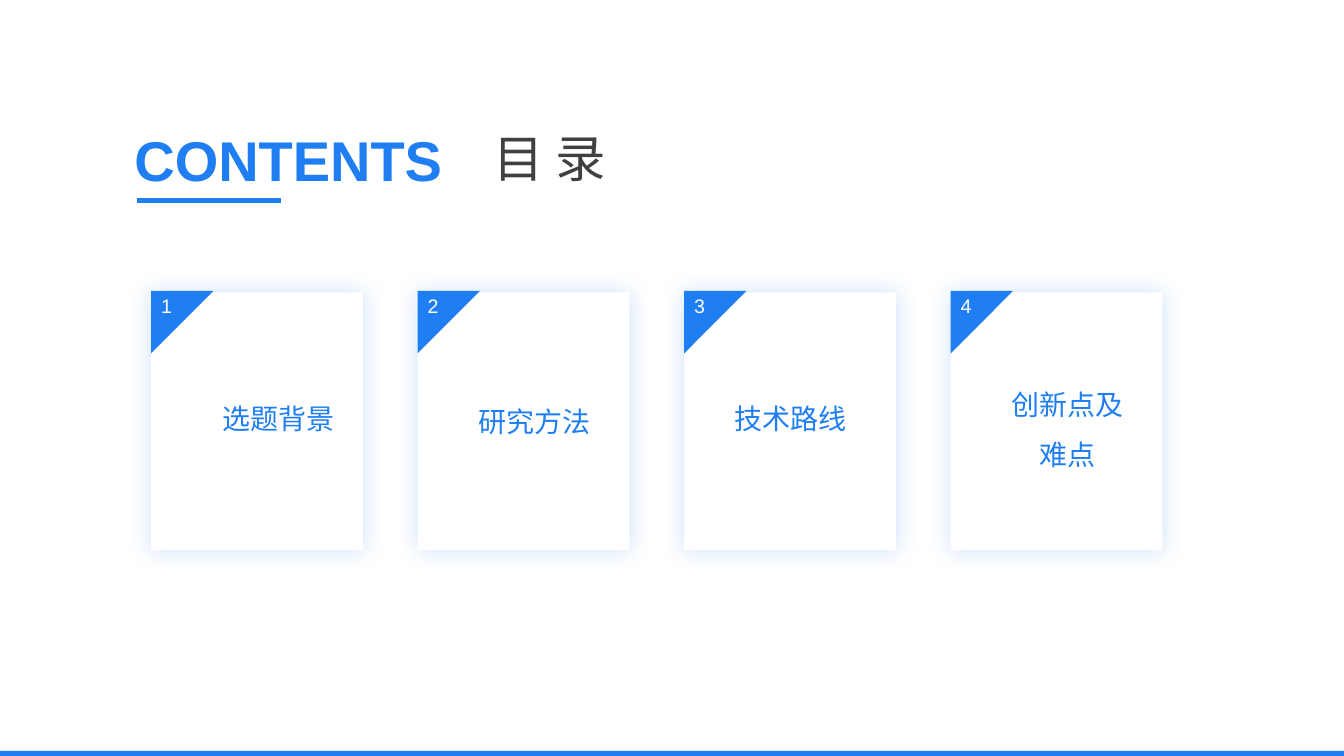
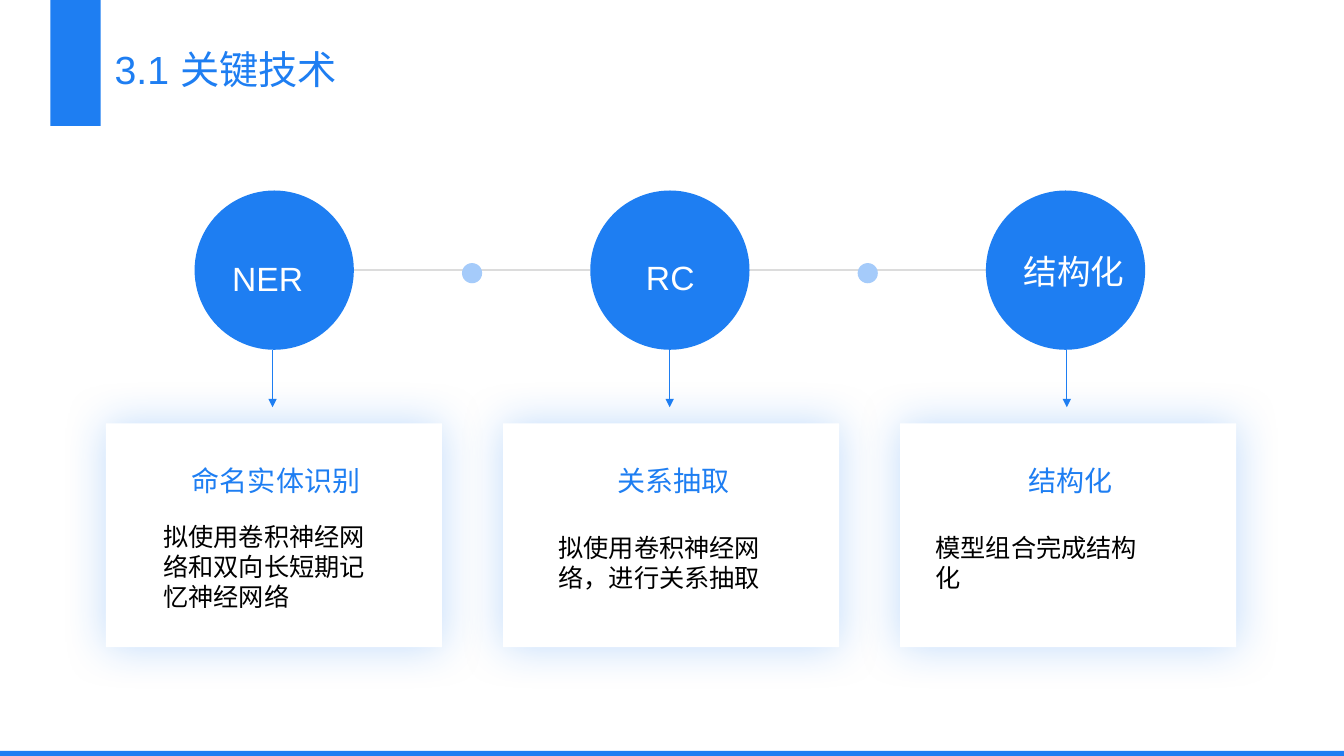
from lxml.etree import SubElement
from pptx import Presentation
from pptx.dml.color import RGBColor
from pptx.enum.shapes import MSO_CONNECTOR, MSO_SHAPE
from pptx.enum.text import MSO_ANCHOR, PP_ALIGN
from pptx.oxml.ns import qn
from pptx.util import Inches, Pt

BLUE = RGBColor(0x1E, 0x7E, 0xF2)
PALE_BLUE = RGBColor(0xA5, 0xCB, 0xFA)
WHITE = RGBColor(0xFF, 0xFF, 0xFF)
GREY = RGBColor(0xDC, 0xDC, 0xDC)
DARK = RGBColor(0x40, 0x40, 0x40)
BLACK = RGBColor(0x00, 0x00, 0x00)
FONT = "Arial"


def write(frame, text, size=20, color=BLUE, bold=False, align=PP_ALIGN.LEFT,
          anchor=MSO_ANCHOR.TOP, spacing=1.0, before=0):
    frame.word_wrap = True
    frame.vertical_anchor = anchor
    paragraph = frame.paragraphs[0]
    paragraph.alignment = align
    paragraph.line_spacing = spacing
    paragraph.space_before = Pt(before)
    run = paragraph.add_run()
    run.text = text
    run.font.name = FONT
    run.font.size = Pt(size)
    run.font.bold = bold
    run.font.color.rgb = color


class Deck:
    """Style and current slide; all lengths are percent of the slide's size."""

    def __init__(self):
        self.show = Presentation()
        self.show.slide_width = Inches(13.33)
        self.show.slide_height = Inches(7.5)
        self.slide = None

    def across(self, share):
        return round(self.show.slide_width * share / 100)

    def down(self, share):
        return round(self.show.slide_height * share / 100)

    def box(self, x, y, w, h):
        return self.across(x), self.down(y), self.across(w), self.down(h)

    def new_slide(self):
        self.slide = self.show.slides.add_slide(self.show.slide_layouts[6])
        self.shape(MSO_SHAPE.RECTANGLE, 0, 99.33, 100, 0.67)  # footer band

    def shape(self, kind, x, y, w, h, fill=BLUE):
        drawn = self.slide.shapes.add_shape(kind, *self.box(x, y, w, h))
        drawn.shadow.inherit = False
        drawn.fill.solid()
        drawn.fill.fore_color.rgb = fill
        drawn.line.fill.background()
        return drawn

    def card(self, x, y, w, h, blur, alpha):
        """White panel with a soft blue glow."""
        panel = self.shape(MSO_SHAPE.RECTANGLE, x, y, w, h, WHITE)
        effects = panel._element.spPr.find(qn("a:effectLst"))
        glow = SubElement(effects, qn("a:outerShdw"), blurRad=str(Pt(blur)),
                          dist="0", dir="0", algn="ctr", rotWithShape="0")
        tint = SubElement(glow, qn("a:srgbClr"), val=str(BLUE))
        SubElement(tint, qn("a:alpha"), val=str(alpha * 1000))

    def text(self, content, x, y, w, h, **style):
        area = self.slide.shapes.add_textbox(*self.box(x, y, w, h))
        write(area.text_frame, content, **style)

    def line(self, x1, y1, x2, y2, color=BLUE, width=0.5, arrow=False):
        rule = self.slide.shapes.add_connector(
            MSO_CONNECTOR.STRAIGHT, self.across(x1), self.down(y1),
            self.across(x2), self.down(y2))
        rule.line.color.rgb = color
        rule.line.width = Pt(width)
        if arrow:
            SubElement(rule.line._get_or_add_ln(), qn("a:tailEnd"), type="triangle")
        SubElement(rule._element.spPr, qn("a:effectLst"))


def contents_slide(deck):
    deck.new_slide()

    # Heading
    heading = dict(align=PP_ALIGN.CENTER, anchor=MSO_ANCHOR.MIDDLE, spacing=1.3)
    deck.text("CONTENTS", 9, 13.73, 24.9, 11.87, size=40, bold=True, **heading)
    deck.text("目 录", 34.73, 13.73, 12.38, 11.87, size=36, color=DARK, **heading)
    deck.line(10.2, 26.53, 20.93, 26.53, width=3)

    # Chapter cards: name, label offset, label top, line spacing
    chapters = [("选题背景", 3.6, 48.33, 0.9), ("研究方法", 2.85, 48.73, 0.9),
                ("技术路线", 2.03, 48.33, 0.9), ("创新点及难点", 2.85, 48.33, 1.5)]
    for index, (chapter, offset, top, spacing) in enumerate(chapters):
        left = 11.25 + index * 19.83
        deck.card(left, 38.67, 15.75, 34.13, blur=16, alpha=22)
        corner = deck.shape(MSO_SHAPE.RIGHT_TRIANGLE, left, 38.47, 4.65, 8.27)
        corner._element.spPr.xfrm.set("flipV", "1")
        deck.text(str(index + 1), left, 37.93, 2.63, 5.73, size=14,
                  color=WHITE, spacing=1.1)
        deck.text(chapter, left + offset, top, 11.7, 14.67,
                  align=PP_ALIGN.CENTER, anchor=MSO_ANCHOR.MIDDLE,
                  spacing=spacing, before=10)


def technology_slide(deck):
    deck.new_slide()

    # Title
    deck.shape(MSO_SHAPE.RECTANGLE, 3.75, 0, 3.75, 16.67)
    deck.text("3.1 关键技术", 7.8, 3.47, 30.15, 11.73, size=28, spacing=1.3)

    # Steps: short name with offset and top, full name, detail with offset and top
    steps = [
        ("NER", 2.06, 31.87, "命名实体识别",
         "拟使用卷积神经网络和双向长短期记忆神经网络", 3.53, 68.27),
        ("RC", 3.41, 31.73, "关系抽取", "拟使用卷积神经网络，进行关系抽取", 3.38, 69.73),
        ("结构化", 2.06, 30.93, "结构化", "模型组合完成结构化", 1.88, 69.73),
    ]
    pitch, diameter, dot = 29.44, 11.85, 1.5
    for index, (short, indent, short_top, name, detail, offset, top) in enumerate(steps):
        # Circle and its link to the next one
        left = 14.48 + index * pitch
        deck.shape(MSO_SHAPE.OVAL, left, 25.2, diameter, 21.07)
        deck.text(short, left + indent, short_top, 10.13, 11.2, size=24,
                  color=WHITE, spacing=1.3)
        if index < len(steps) - 1:
            deck.line(left + diameter, 35.73, left + pitch, 35.73, GREY, 1.5)
            middle = left + (diameter + pitch) / 2
            deck.shape(MSO_SHAPE.OVAL, middle - dot / 2, 34.8, dot, 2.67, PALE_BLUE)

        # Arrow and explanation
        panel = 7.88 + index * 29.55
        stem = panel + 12.4
        deck.line(stem, 46.27, stem, 53.87, arrow=True)
        deck.card(panel, 56, 25, 29.6, blur=32, alpha=28)
        deck.text(name, panel + 1.9, 60.27, 21.53, 6.53,
                  align=PP_ALIGN.CENTER, spacing=1.1)
        deck.text(detail, panel + offset, top, 17.7, 13.47, size=18, color=BLACK)


def main():
    deck = Deck()
    contents_slide(deck)
    technology_slide(deck)
    deck.show.save("out.pptx")


if __name__ == "__main__":
    main()
